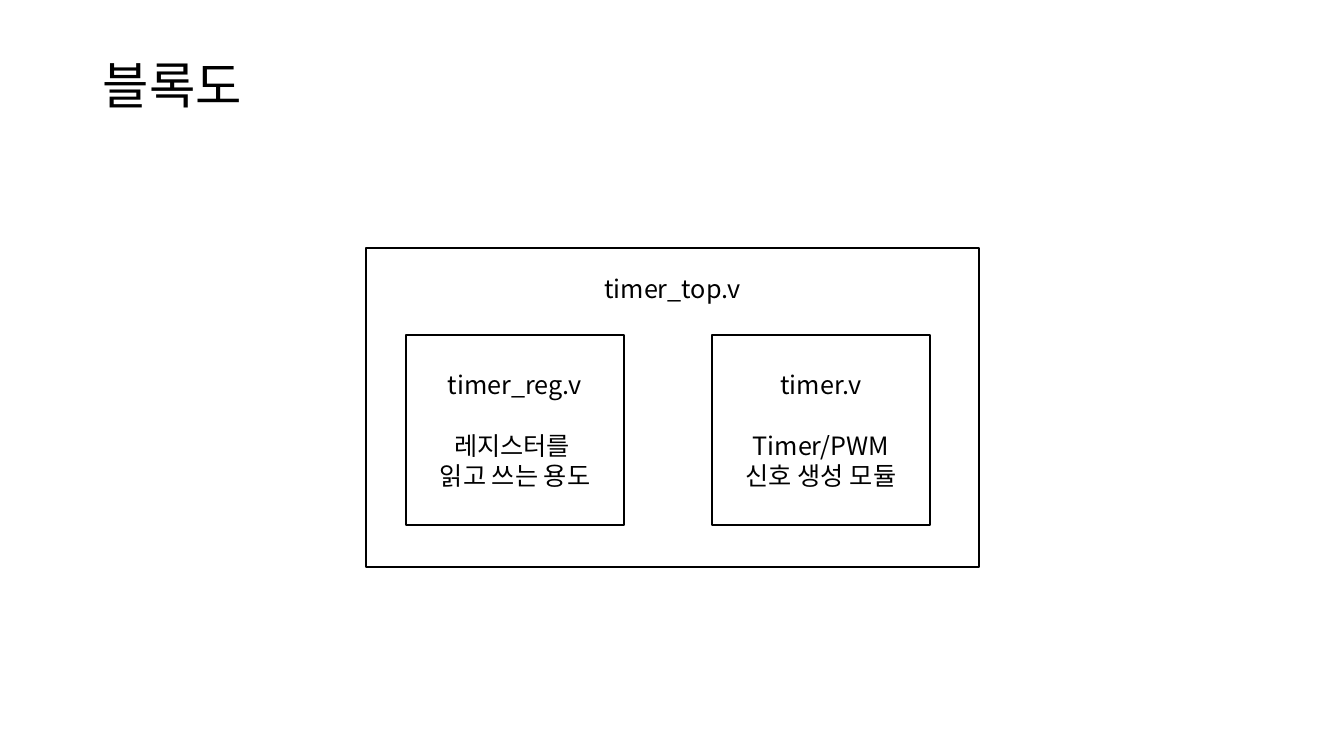
from dataclasses import dataclass

from lxml import etree
from pptx import Presentation
from pptx import util as u
from pptx.dml.color import RGBColor
from pptx.enum import shapes, text
from pptx.oxml import ns

SCALE = 914400 / 100.8
FONT = "Noto Sans CJK KR"
BLACK = RGBColor(0, 0, 0)
WHITE = RGBColor(255, 255, 255)
PITCH = u.Pt(21.6)


@dataclass
class Block:
    left: int
    top: int
    width: int
    height: int
    name: str
    notes: tuple[str, ...] = ()


def px(size: float) -> int:
    return round(size * SCALE)


def write(para, words: str, size: int) -> None:
    run = para.add_run()
    run.text = words
    font = run.font
    font.name = FONT
    font.size = u.Pt(size)
    font.color.rgb = BLACK
    east = etree.SubElement(run._r.get_or_add_rPr(), ns.qn("a:ea"))
    east.set("typeface", FONT)


def title(slide, words: str) -> None:
    box = slide.shapes.add_textbox(px(93), px(40), px(1159), px(96))
    frame = box.text_frame
    frame.word_wrap = True
    frame.vertical_anchor = text.MSO_ANCHOR.MIDDLE
    para = frame.paragraphs[0]
    para.line_spacing = 0.9
    write(para, words, 36)


def draw(slide, block: Block) -> None:
    rect = slide.shapes.add_shape(
        shapes.MSO_SHAPE.RECTANGLE,
        px(block.left), px(block.top), px(block.width), px(block.height),
    )
    rect.shadow.inherit = False
    rect.fill.solid()
    rect.fill.fore_color.rgb = WHITE
    rect.line.color.rgb = BLACK
    rect.line.width = u.Pt(1)
    frame = rect.text_frame
    frame.word_wrap = True
    if block.notes:
        frame.vertical_anchor = text.MSO_ANCHOR.MIDDLE
    else:
        frame.vertical_anchor = text.MSO_ANCHOR.TOP
        frame.margin_top = px(25)
    for row, words in enumerate((block.name, *block.notes)):
        para = frame.add_paragraph() if row else frame.paragraphs[0]
        para.alignment = text.PP_ALIGN.CENTER
        para.line_spacing = PITCH
        if row == 1:
            para.space_before = PITCH
        write(para, words, 18)


BLOCKS = (
    Block(366, 248, 613, 319, "timer_top.v"),
    Block(406, 335, 218, 190, "timer_reg.v", ("레지스터를 ", "읽고 쓰는 용도")),
    Block(712, 335, 218, 190, "timer.v", ("Timer/PWM", "신호 생성 모듈")),
)

deck = Presentation()
deck.slide_width = px(1344)
deck.slide_height = px(756)
page = deck.slides.add_slide(deck.slide_layouts[6])
title(page, "블록도")
for block in BLOCKS:
    draw(page, block)
deck.save("out.pptx")
